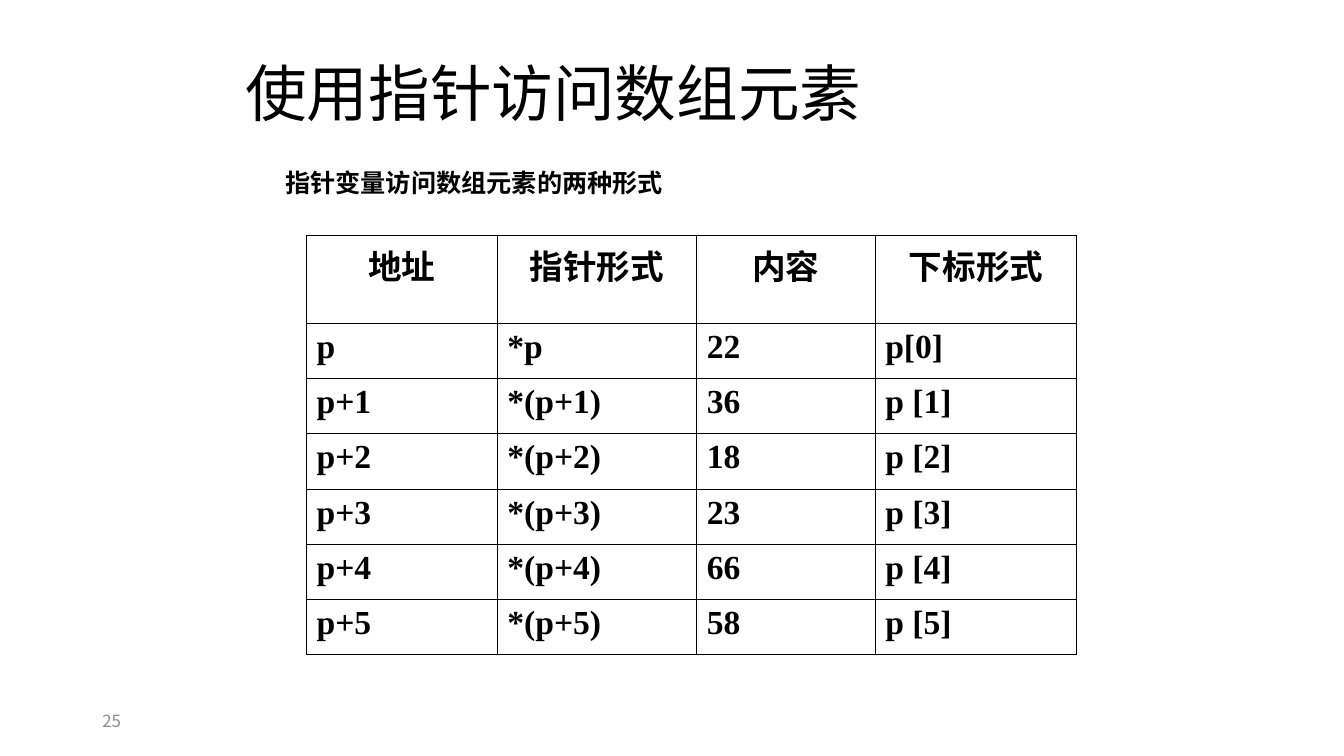
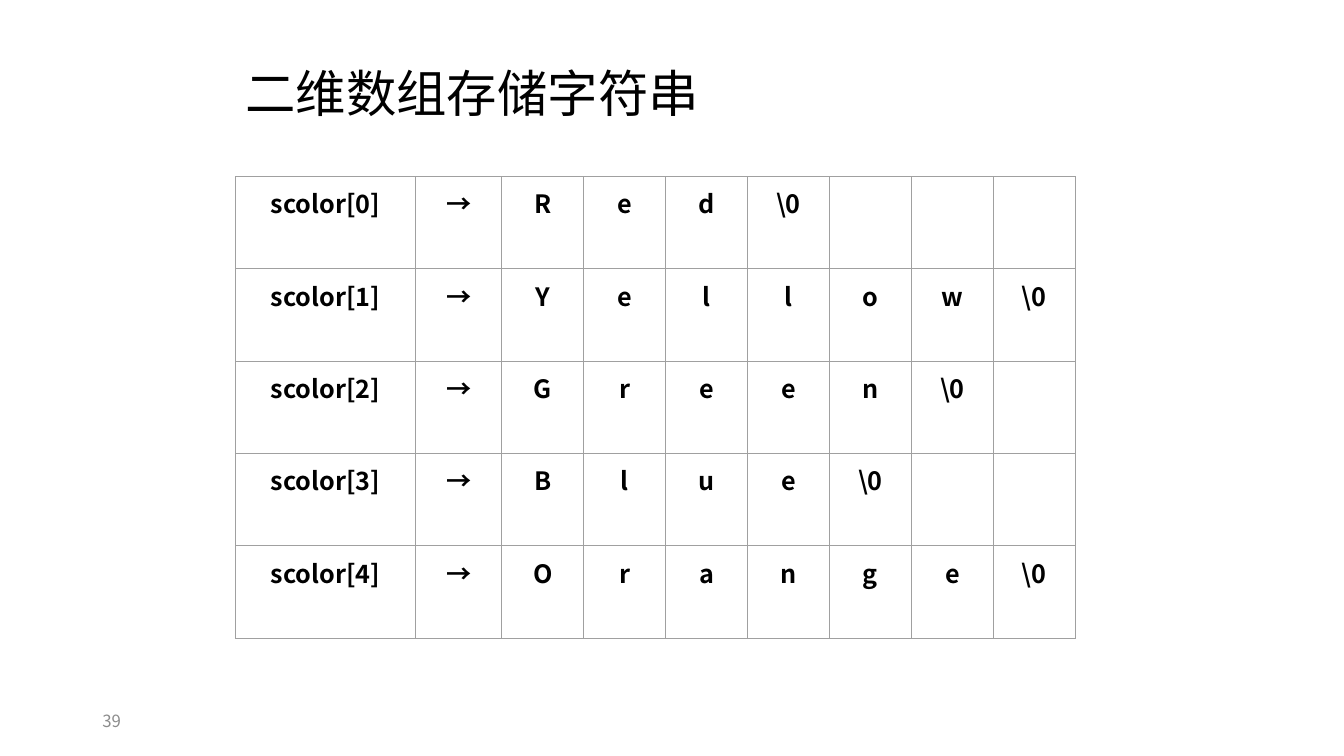
from itertools import accumulate

from lxml.etree import SubElement
from pptx import Presentation
from pptx.dml.color import RGBColor
from pptx.enum.shapes import MSO_SHAPE
from pptx.enum.text import MSO_ANCHOR, PP_ALIGN
from pptx.oxml.ns import qn
from pptx.util import Inches, Pt

COLORS = {"text": "000000", "number": "8C8C8C", "rule": "000000", "grid": "A0A0A0"}
CJK = "Noto Sans CJK SC"
TITLE_ONLY = 5
COLUMNS, ROWS = 160, 90  # grid cells across and down the slide
UNIT = Inches(1) / 12

TITLE_BOX = (28, 4, 102, 15)
NUMBER_BOX = (11, 83.4, 36, 4.8)
SUBTITLE_BOX = (32.75, 19.3, 95.4, 8.5)
STRINGS_BOX = (28, 21, 100, 55)


def grid(*cells):
    return [round(n * UNIT) for n in cells]


def write(tf, text, size, font=CJK, color="text", bold=False,
          align=PP_ALIGN.LEFT, line_spacing=None):
    p = tf.paragraphs[0]
    p.alignment = align
    p.line_spacing = line_spacing
    r = p.add_run()
    r.text = text
    for name, value in {"size": Pt(size), "name": font, "bold": bold}.items():
        setattr(r.font, name, value)
    r.font.color.rgb = RGBColor.from_string(COLORS[color])
    SubElement(r.font._element, qn("a:ea"), typeface=CJK)


def add_text(s, box, text, anchor, **style):
    tf = s.shapes.add_textbox(*grid(*box)).text_frame
    tf.word_wrap = True
    tf.vertical_anchor = anchor
    write(tf, text, **style)


def add_slide(prs, title, title_size, number):
    s = prs.slides.add_slide(prs.slide_layouts[TITLE_ONLY])
    sp = s.shapes.title
    sp.left, sp.top, sp.width, sp.height = grid(*TITLE_BOX)
    sp.text_frame.vertical_anchor = MSO_ANCHOR.MIDDLE
    write(sp.text_frame, title, title_size, line_spacing=0.9)
    add_text(s, NUMBER_BOX, str(number), MSO_ANCHOR.MIDDLE, size=12, color="number")
    return s


def add_border(cell, side, weight):
    ln = SubElement(cell._tc.get_or_add_tcPr(), qn(f"a:ln{side}"), w=str(Pt(weight)))
    fill = SubElement(ln, qn("a:solidFill"))
    SubElement(fill, qn("a:srgbClr"), val=COLORS["rule"])


def add_ruled_table(s, left, top, widths, heights, rows):
    last_row, last_col = len(heights) - 1, len(widths) - 1
    frame = s.shapes.add_table(len(heights), len(widths),
                               *grid(left, top, sum(widths), sum(heights)))
    table = frame.table
    table.first_row = table.horz_banding = False
    for column, width in zip(table.columns, grid(*widths)):
        column.width = width
    for row, height in zip(table.rows, grid(*heights)):
        row.height = height
    header = {"font": "Arial", "align": PP_ALIGN.CENTER}
    body = {"font": "Times New Roman"}
    for i, texts in enumerate(rows):
        for j, text in enumerate(texts):
            cell = table.cell(i, j)
            at_edge = {"L": j == 0, "R": j == last_col, "T": i == 0, "B": i == last_row}
            for side, is_outer in at_edge.items():
                add_border(cell, side, 0.75 if is_outer else 1)
            cell.fill.background()
            write(cell.text_frame, text, 24, bold=True, **(body if i else header))


def add_outline_box(shapes, box, weight, text=""):
    sp = shapes.add_shape(MSO_SHAPE.RECTANGLE, *grid(*box))
    sp.shadow.inherit = False
    sp.fill.background()
    sp.line.color.rgb = RGBColor.from_string(COLORS["grid"])
    sp.line.width = Pt(weight)
    if text:
        tf = sp.text_frame
        tf.word_wrap = True
        tf.vertical_anchor = MSO_ANCHOR.TOP
        tf.margin_top = Inches(0.12)
        write(tf, text, 18, bold=True, align=PP_ALIGN.CENTER)


def add_pointer_slide(prs):
    s = add_slide(prs, "使用指针访问数组元素", 44, 25)
    add_text(s, SUBTITLE_BOX, "指针变量访问数组元素的两种形式", MSO_ANCHOR.TOP,
             size=18, font="Arial", bold=True)
    values = [22, 36, 18, 23, 66, 58]
    rows = [("地址", "指针形式", "内容", "下标形式"), ("p", "*p", str(values[0]), "p[0]")]
    rows += [(f"p+{i}", f"*(p+{i})", str(value), f"p [{i}]")
             for i, value in enumerate(values[1:], 1)]
    add_ruled_table(s, 36.5, 28, [22.7, 23.75, 21.25, 24],
                    [10.5] + [6.58] * len(values), rows)


def add_string_slide(prs):
    s = add_slide(prs, "二维数组存储字符串", 36, 39)
    words = ["Red", "Yellow", "Green", "Blue", "Orange"]
    length = max(map(len, words)) + 1
    widths = [21.4, 10.3] + [9.75] * length
    left, top, _, height = STRINGS_BOX
    row_height = height / len(words)
    lefts = list(accumulate(widths, initial=left + 0.05))
    shapes = s.shapes.add_group_shape().shapes
    for i, word in enumerate(words):
        letters = [*word, "\\0"]
        texts = [f"scolor[{i}]", "→", *letters, *[""] * (length - len(letters))]
        for x, width, text in zip(lefts, widths, texts):
            add_outline_box(shapes, (x, top + i * row_height, width, row_height), 0, text)
    add_outline_box(shapes, STRINGS_BOX, 0.75)


def main():
    prs = Presentation()
    prs.slide_width, prs.slide_height = grid(COLUMNS, ROWS)
    add_pointer_slide(prs)
    add_string_slide(prs)
    prs.save("out.pptx")


if __name__ == "__main__":
    main()
